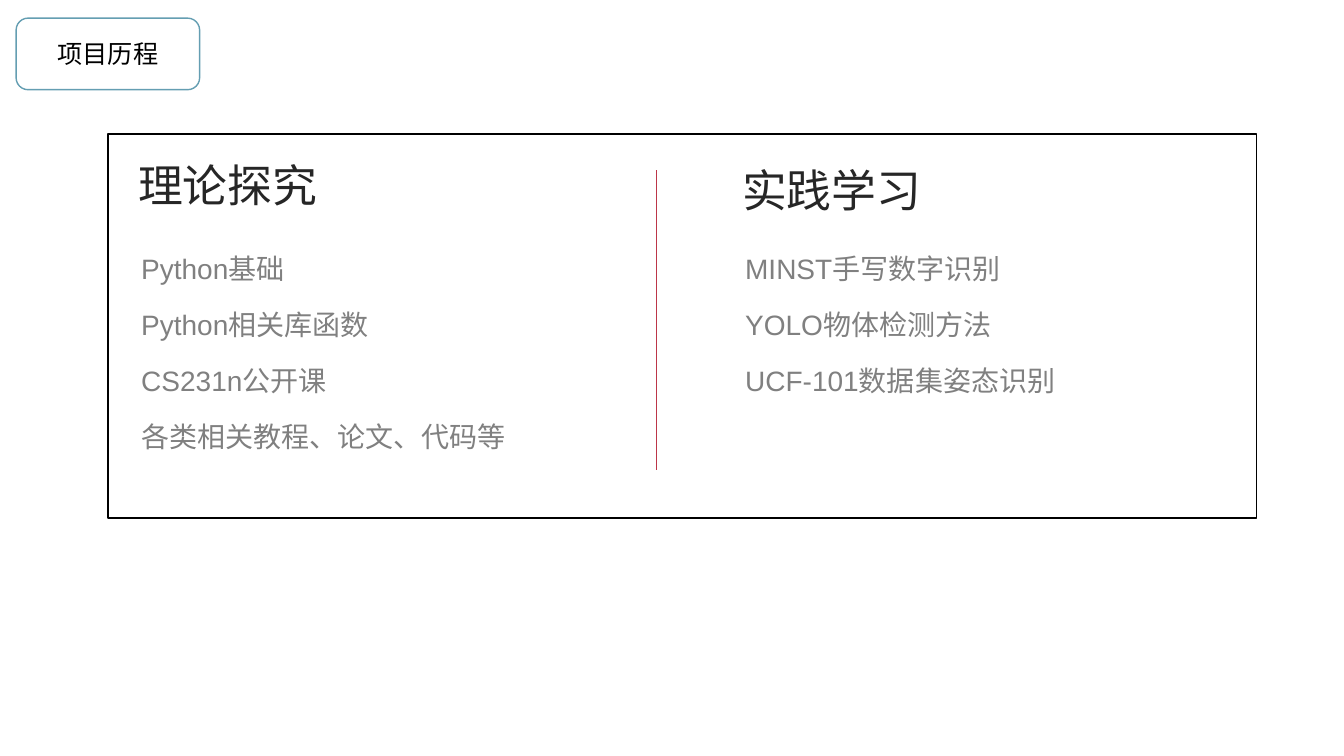
import pptx
import pptx.util
import pptx.dml.color
import pptx.enum.shapes
import pptx.enum.text
import pptx.oxml.xmlchemy
from pptx.util import Inches

BLACK = pptx.dml.color.RGBColor(0x00, 0x00, 0x00)
WHITE = pptx.dml.color.RGBColor(0xFF, 0xFF, 0xFF)
DARK = pptx.dml.color.RGBColor(0x26, 0x26, 0x26)
GRAY = pptx.dml.color.RGBColor(0x80, 0x80, 0x80)
RED = pptx.dml.color.RGBColor(0xBC, 0x36, 0x49)
TEAL = pptx.dml.color.RGBColor(0x64, 0x9E, 0xB2)

SHAPES = pptx.enum.shapes.MSO_SHAPE
ALIGN = pptx.enum.text.PP_ALIGN


class SlideBuilder:
    body_font = "Arial"
    label_font = "Quicksand"

    def __init__(self, page):
        self.page = page

    def style(self, para, font, size, color):
        para.font.name = font
        para.font.size = pptx.util.Pt(size)
        para.font.color.rgb = color

    def shape(self, kind, left, top, width, height, line, fill=None):
        box = self.page.shapes.add_shape(
            kind, Inches(left), Inches(top), Inches(width), Inches(height))
        box.shadow.inherit = False
        if fill is None:
            box.fill.background()
        else:
            box.fill.solid()
            box.fill.fore_color.rgb = fill
        box.line.color.rgb = line
        box.line.width = pptx.util.Pt(1)
        return box

    def label(self, text, left, top, width, height):
        box = self.shape(SHAPES.ROUNDED_RECTANGLE, left, top, width, height, TEAL, WHITE)
        box.text_frame.vertical_anchor = pptx.enum.text.MSO_ANCHOR.MIDDLE
        para = box.text_frame.paragraphs[0]
        para.text = text
        para.alignment = ALIGN.CENTER
        self.style(para, self.label_font, 18, BLACK)

    def text_frame(self, left, top, width, height, side, edge):
        box = self.page.shapes.add_textbox(
            Inches(left), Inches(top), Inches(width), Inches(height))
        frame = box.text_frame
        frame.word_wrap = True
        frame.margin_left = frame.margin_right = Inches(side)
        frame.margin_top = frame.margin_bottom = Inches(edge)
        return frame

    def heading(self, text, left, top):
        para = self.text_frame(left, top, 2.74, 0.37, 0.11, 0.06).paragraphs[0]
        para.text = text
        self.style(para, self.body_font, 32, DARK)

    def topics(self, lines, left, top, height):
        frame = self.text_frame(left, top, 4.61, height, 0.14, 0.07)
        frame.text = "\n".join(lines)
        for index, para in enumerate(frame.paragraphs):
            para.alignment = ALIGN.JUSTIFY
            para.line_spacing = pptx.util.Pt(30)
            para.space_before = pptx.util.Pt(4 if index else 0)
            para.space_after = pptx.util.Pt(6)
            self.style(para, self.body_font, 20, GRAY)

    def divider(self, left, top, bottom):
        line = self.page.shapes.add_connector(
            pptx.enum.shapes.MSO_CONNECTOR.STRAIGHT,
            Inches(left), Inches(top), Inches(left), Inches(bottom))
        line.line.color.rgb = RED
        line.line.width = pptx.util.Pt(0.5)
        properties = line.element.spPr
        properties.append(pptx.oxml.xmlchemy.OxmlElement("a:effectLst"))


COLUMNS = [
    ("理论探究", 1.26, 1.51, 1.68,
     ["Python基础", "Python相关库函数", "CS231n公开课", "各类相关教程、论文、代码等"]),
    ("实践学习", 7.25, 1.55, 3.81,
     ["MINST手写数字识别", "YOLO物体检测方法", "UCF-101数据集姿态识别"]),
]


def main():
    deck = pptx.Presentation()
    deck.slide_width = Inches(13.33)
    deck.slide_height = Inches(7.5)
    builder = SlideBuilder(deck.slides.add_slide(deck.slide_layouts[6]))
    builder.shape(SHAPES.RECTANGLE, 1.07, 1.33, 11.39, 3.81, BLACK)
    for title, left, title_top, topics_height, lines in COLUMNS:
        builder.heading(title, left, title_top)
        builder.topics(lines, left, 2.34, topics_height)
    builder.divider(6.51, 1.69, 4.66)
    builder.label("项目历程", 0.16, 0.18, 1.82, 0.71)
    deck.save("out.pptx")


if __name__ == "__main__":
    main()
